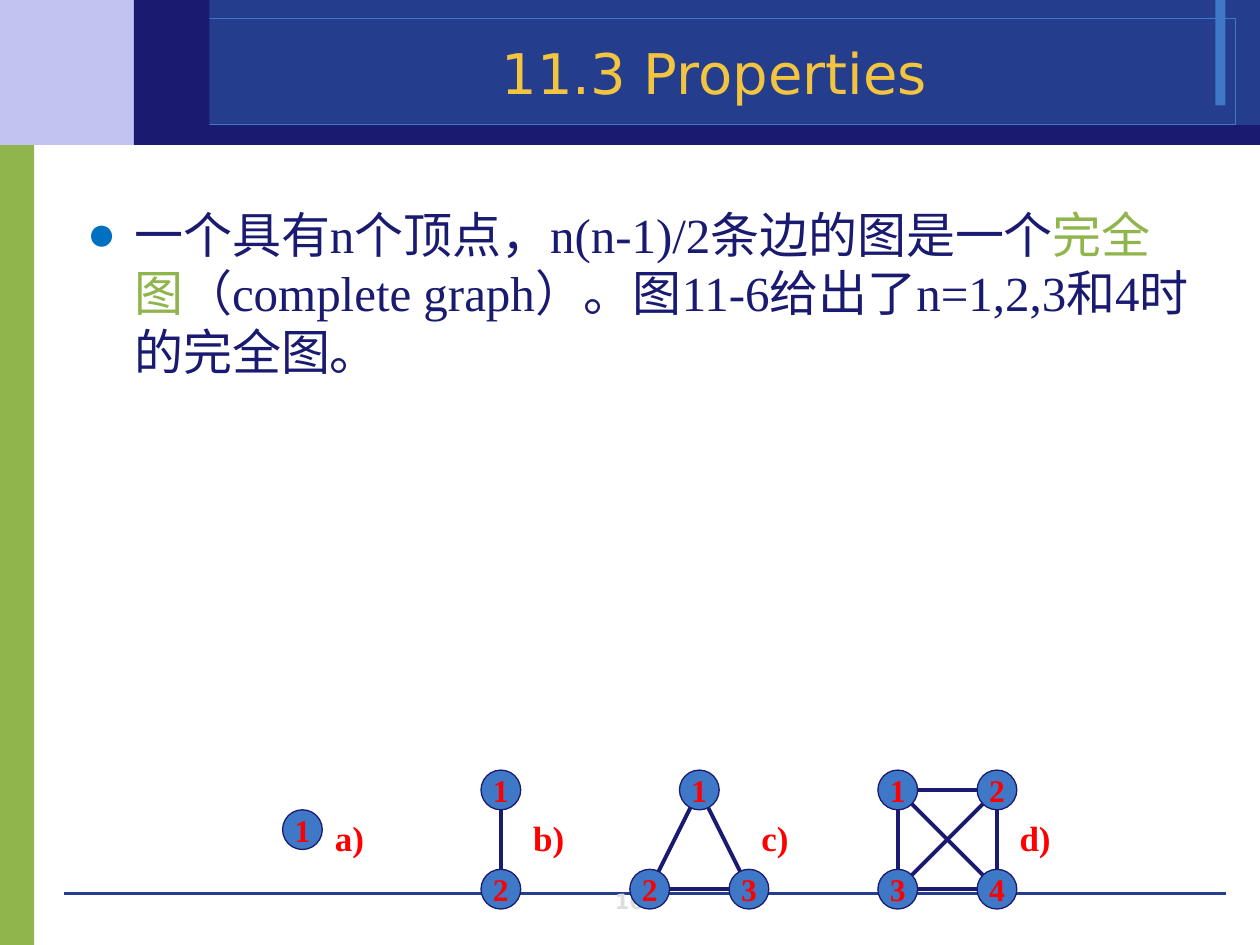
from math import copysign

from lxml.etree import SubElement
from pptx import Presentation
from pptx.dml.color import RGBColor
from pptx.enum.shapes import MSO_CONNECTOR as Connector, MSO_SHAPE as Preset
from pptx.enum.text import MSO_ANCHOR as Anchor, MSO_AUTO_SIZE as AutoSize, PP_ALIGN as Align
from pptx.oxml.ns import qn
from pptx.util import Pt

COLORS = {
    "navy": "1A1A70", "blue": "243D8C", "sky": "3E78C6", "lilac": "C3C3F1",
    "green": "90B54D", "gold": "F3C43F", "bullet": "0070C0", "red": "FF0000",
    "gray": "DDDDDD",
}
SANS, SERIF = "DejaVu Sans", "Times New Roman"
FORMATS = {
    "title": {"name": SANS, "size": Pt(32), "bold": False},
    "body": {"name": SERIF, "size": Pt(28)},
    "number": {"name": SANS, "size": Pt(12), "bold": True},
    "node": {"name": SERIF, "size": Pt(18), "bold": True},
    "label": {"name": SERIF, "size": Pt(20), "bold": True},
}
PANELS = [
    (0, 77, 19.6, 463, "green"),
    (0, 0, 110, 82.8, "lilac"),
    (110, 0, 610, 82.8, "blue"),
    (694.5, 0, 5.8, 60.2, "sky"),
    (85.7, 10.5, 620.5, 61, None),
    (93.6, 71.5, 626.4, 11.3, "navy"),
    (76.5, 0, 43.2, 82.8, "navy"),
]
BODY_RUNS = [
    ("一个具有n个顶点，n(n-1)/2条边的图是一个", "navy"),
    ("完全图", "green"),
    ("（complete graph）。图11-6给出了n=1,2,3和4时的完全图。", "navy"),
]
STEP, GRID_LEFT, GRID_TOP, RADIUS = 28.35, 172.8, 451.4, 11.35
GRAPHS = [
    ("a)", 184.3, {"1": (0, 0.8)}, []),
    ("b)", 297.6, {"1": (4, 0), "2": (4, 2)}, [("1", "2", 1)]),
    ("c)", 428, {"1": (8, 0), "2": (7, 2), "3": (9, 2)},
     [("1", "2", 0), ("1", "3", 0), ("2", "3", 1)]),
    ("d)", 575.5, {"1": (12, 0), "2": (14, 0), "3": (12, 2), "4": (14, 2)},
     [("3", "4", 1), ("1", "2", 1), ("1", "3", 1), ("2", "4", 1),
      ("1", "4", 0.5), ("3", "2", 0.5)]),
]


def color(name):
    """Return the named palette colour."""
    return RGBColor.from_string(COLORS[name])


class SlideBuilder:
    """Holds the style and the current slide."""

    def __init__(self, slide):
        """Start building on a slide."""
        self.slide = slide
        self.shapes = slide.shapes

    def add_text(self, paragraph, text, style, color_name):
        """Add a formatted run to a paragraph."""
        run = paragraph.add_run()
        run.text = text
        for attribute, value in FORMATS[style].items():
            setattr(run.font, attribute, value)
        run.font.color.rgb = color(color_name)

    def shape(self, preset, left, top, width, height, fill=None, line=None, weight=0):
        """Add a preset shape with optional fill and outline."""
        shape = self.shapes.add_shape(preset, Pt(left), Pt(top), Pt(width), Pt(height))
        shape.shadow.inherit = False
        if fill:
            shape.fill.solid()
            shape.fill.fore_color.rgb = color(fill)
        else:
            shape.fill.background()
        if line:
            shape.line.color.rgb = color(line)
            shape.line.width = Pt(weight)
        else:
            shape.line.fill.background()
        return shape

    def line(self, start, end, color_name, weight):
        """Add a straight line between two points."""
        connector = self.shapes.add_connector(
            Connector.STRAIGHT, *(Pt(value) for value in (*start, *end)))
        connector.line.color.rgb = color(color_name)
        connector.line.width = Pt(weight)
        SubElement(connector.element.spPr, qn("a:effectLst"))

    def text(self, left, top, width, height, text, style, color_name,
             align=Align.LEFT, anchor=Anchor.TOP):
        """Add a text box with one paragraph."""
        box = self.shapes.add_textbox(Pt(left), Pt(top), Pt(width), Pt(height))
        frame = box.text_frame
        frame.word_wrap = True
        frame.vertical_anchor = anchor
        frame.paragraphs[0].alignment = align
        self.add_text(frame.paragraphs[0], text, style, color_name)

    def placeholder(self, index, left, top, width, height, anchor):
        """Move a placeholder to the front and return its first paragraph."""
        shape = self.slide.placeholders[index]
        shape.left, shape.top, shape.width, shape.height = map(Pt, (left, top, width, height))
        self.shapes.element.append(shape.element)
        frame = shape.text_frame
        frame.auto_size = AutoSize.NONE
        frame.vertical_anchor = anchor
        return frame.paragraphs[0]

    def title(self, text):
        """Fill the title placeholder."""
        paragraph = self.placeholder(0, 99.4, 10, 617.8, 54, Anchor.BOTTOM)
        paragraph.alignment = Align.CENTER
        self.add_text(paragraph, text, "title", "gold")

    def body(self, runs):
        """Fill the body placeholder with one bulleted paragraph."""
        paragraph = self.placeholder(1, 42.5, 113, 648, 314.6, Anchor.TOP)
        paragraph.space_before = Pt(0)
        properties = paragraph._p.get_or_add_pPr()
        properties.set("marL", str(Pt(27)))
        properties.set("indent", str(Pt(-27)))
        bullet_color = SubElement(properties, qn("a:buClr"))
        SubElement(bullet_color, qn("a:srgbClr"), val=COLORS["bullet"])
        SubElement(properties, qn("a:buChar"), char="●")
        for text, color_name in runs:
            self.add_text(paragraph, text, "body", color_name)

    def node(self, center, text):
        """Add a numbered graph vertex."""
        x, y = center
        shape = self.shape(Preset.OVAL, x - RADIUS, y - RADIUS, 2 * RADIUS, 2 * RADIUS,
                           "sky", "navy", 0.75)
        frame = shape.text_frame
        frame.word_wrap = False
        frame.vertical_anchor = Anchor.MIDDLE
        frame.paragraphs[0].alignment = Align.CENTER
        self.add_text(frame.paragraphs[0], text, "node", "red")

    def edge(self, start, end, trim):
        """Add a graph edge, shortened on each axis by a share of the radius."""
        offsets = [copysign(trim * RADIUS, b - a) if a != b else 0
                   for a, b in zip(start, end)]
        self.line([a + offset for a, offset in zip(start, offsets)],
                  [b - offset for b, offset in zip(end, offsets)], "navy", 2.25)

    def graph(self, label, label_left, nodes, edges):
        """Add a complete graph with its label."""
        centers = {name: (GRID_LEFT + column * STEP, GRID_TOP + row * STEP)
                   for name, (column, row) in nodes.items()}
        for start, end, trim in edges:
            self.edge(centers[start], centers[end], trim)
        for name, center in centers.items():
            self.node(center, name)
        self.text(label_left, 463, 39.6, 31, label, "label", "red")


def main():
    """Build the slide and save it."""
    presentation = Presentation()
    presentation.slide_width, presentation.slide_height = Pt(720), Pt(540)
    builder = SlideBuilder(presentation.slides.add_slide(presentation.slide_layouts[1]))
    for left, top, width, height, fill in PANELS:
        builder.shape(Preset.RECTANGLE, left, top, width, height, fill,
                      None if fill else "sky")
    builder.line((36.7, 510.5), (700.5, 510.5), "blue", 0)
    builder.text(275.8, 507.6, 167.8, 18, "16", "number", "gray",
                 Align.CENTER, Anchor.BOTTOM)
    builder.title("11.3 Properties")
    builder.body(BODY_RUNS)
    for graph in GRAPHS:
        builder.graph(*graph)
    presentation.save("out.pptx")


if __name__ == "__main__":
    main()
